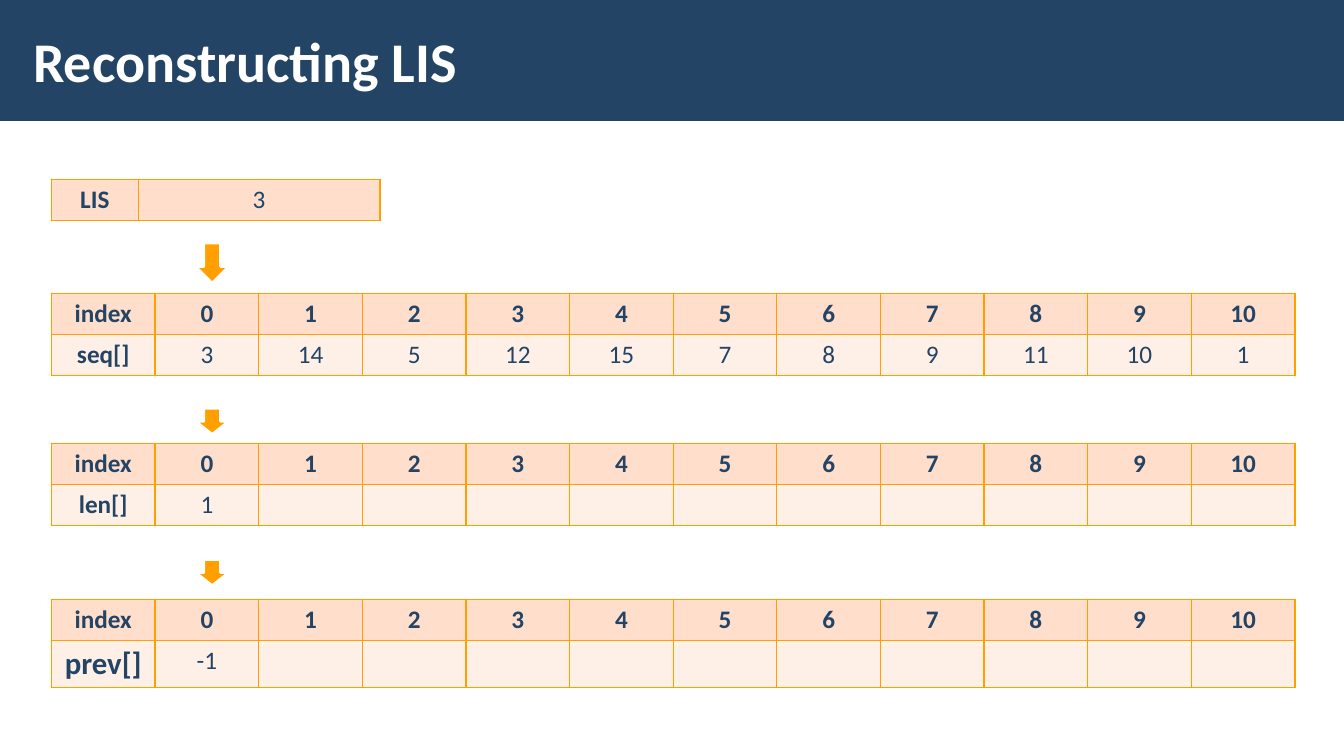
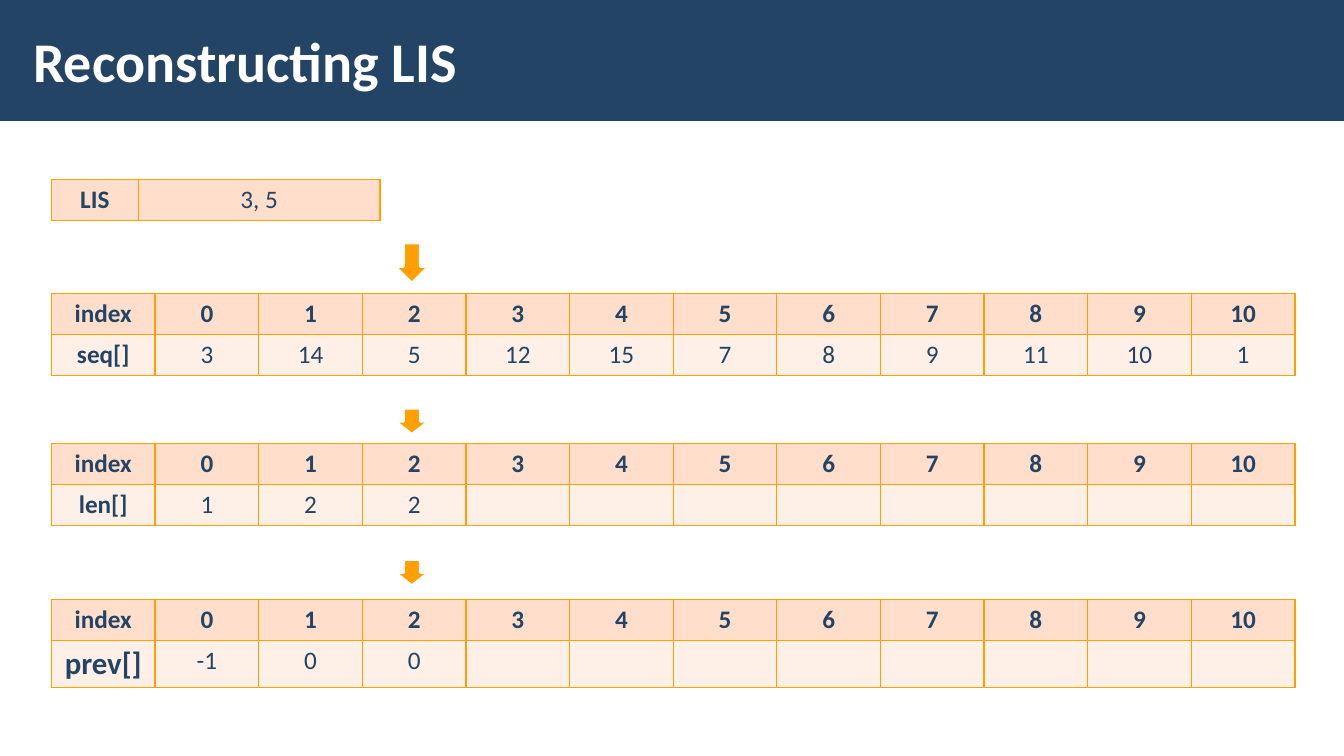
from dataclasses import dataclass

from lxml.etree import SubElement
from pptx import Presentation
from pptx.dml.color import RGBColor
from pptx.enum.shapes import MSO_SHAPE as Shape
from pptx.enum.text import MSO_ANCHOR as Anchor, PP_ALIGN as Align
from pptx.oxml import parse_xml
from pptx.oxml.ns import nsdecls, qn
from pptx.util import Inches, Pt

COLORS = {
    "navy": "234465",
    "white": "FFFFFF",
    "orange": "FFA000",
    "header": "FFDFCC",
    "body": "FFF0E7",
}
FONT = "Calibri"
SLIDE_WIDTH, SLIDE_HEIGHT = Inches(13.333), Inches(7.5)
LENGTH = 11
SEQUENCE = [3, 14, 5, 12, 15, 7, 8, 9, 11, 10, 1]
STEPS = [
    {"lis": "3", "len": [1], "prev": [-1]},
    {"lis": "3, 5", "len": [1, 2, 2], "prev": [-1, 0, 0]},
]


@dataclass
class Box:
    left: int
    top: int
    width: int
    height: int

    def region(self, left, top, width, height):
        """Take a box whose sides are percentages of this one."""
        return Box(
            self.left + round(self.width * left / 100),
            self.top + round(self.height * top / 100),
            round(self.width * width / 100),
            round(self.height * height / 100),
        )

    def sides(self):
        return self.left, self.top, self.width, self.height


PAGE = Box(0, 0, SLIDE_WIDTH, SLIDE_HEIGHT)
BAND = PAGE.region(0, 0, 100, 16)
RESULT = PAGE.region(3.83, 23.73, 24.45, 5.42)
ARRAYS = {
    "seq": PAGE.region(3.83, 38.8, 92.55, 10.84),
    "len": PAGE.region(3.83, 58.67, 92.55, 10.84),
    "prev": PAGE.region(3.83, 79.33, 92.55, 10.84),
}
POINTERS = [
    PAGE.region(14.55, 32.13, 2.48, 5.33),
    PAGE.region(14.55, 54, 2.48, 3.47),
    PAGE.region(14.55, 74, 2.48, 3.47),
]
POINTER_STEP = round(SLIDE_WIDTH * 7.43 / 100)


def color(name):
    return RGBColor.from_string(COLORS[name])


def paint(target, name):
    target.fill.solid()
    target.fill.fore_color.rgb = color(name)


def write(text_frame, text, size, name, bold, align):
    text_frame.text = text
    paragraph = text_frame.paragraphs[0]
    paragraph.alignment = align
    for run in paragraph.runs:
        run.font.name = FONT
        run.font.size = Pt(size)
        run.font.bold = bold
        run.font.color.rgb = color(name)


def add_borders(cell):
    properties = cell._tc.get_or_add_tcPr()
    for position, side in enumerate(("lnL", "lnR", "lnT", "lnB")):
        border = parse_xml(f'<a:{side} {nsdecls("a")} w="12700"/>')
        fill = SubElement(border, qn("a:solidFill"))
        SubElement(fill, qn("a:srgbClr"), val=COLORS["orange"])
        properties.insert(position, border)


def add_title_band(slide, box, title):
    band = slide.shapes.add_shape(Shape.RECTANGLE, *box.sides())
    band.shadow.inherit = False
    paint(band, "navy")
    band.line.fill.background()
    text_box = slide.shapes.add_textbox(*box.region(1.58, 9.17, 79.73, 80.83).sides())
    text_frame = text_box.text_frame
    text_frame.word_wrap = True
    text_frame.vertical_anchor = Anchor.MIDDLE
    text_frame.margin_left = text_frame.margin_right = Inches(0.12)
    text_frame.margin_top = text_frame.margin_bottom = Inches(0.04)
    write(text_frame, title, 40, "white", True, Align.LEFT)


def add_grid(slide, box, rows, shares, label_size=18):
    table = slide.shapes.add_table(len(rows), len(shares), *box.sides()).table
    table.horz_banding = False
    for column, share in zip(table.columns, shares):
        column.width = round(box.width * share / sum(shares))
    for row_index, values in enumerate(rows):
        table.rows[row_index].height = box.height // len(rows)
        for column_index, value in enumerate(values):
            cell = table.cell(row_index, column_index)
            is_label = column_index == 0
            is_index = row_index == 0 and len(rows) > 1
            size = label_size if is_label and row_index else 18
            write(cell.text_frame, str(value), size, "navy",
                  is_label or is_index, Align.CENTER)
            paint(cell, "body" if row_index else "header")
            add_borders(cell)


def add_array(slide, box, name, values):
    padding = [""] * (LENGTH - len(values))
    rows = [["index", *range(LENGTH)], [f"{name}[]", *values, *padding]]
    add_grid(slide, box, rows, [1] * (LENGTH + 1), 22 if name == "prev" else 18)


def add_pointer(slide, box, index):
    arrow = slide.shapes.add_shape(Shape.DOWN_ARROW, *box.sides())
    arrow.left = box.left + index * POINTER_STEP
    arrow.shadow.inherit = False
    paint(arrow, "orange")
    arrow.line.color.rgb = color("white")
    arrow.line.width = Pt(2)


def add_step_slide(presentation, step):
    slide = presentation.slides.add_slide(presentation.slide_layouts[6])
    add_title_band(slide, BAND, "Reconstructing LIS")
    for box in POINTERS:
        add_pointer(slide, box, len(step["len"]) - 1)
    arrays = {"seq": SEQUENCE, "len": step["len"], "prev": step["prev"]}
    for name, values in arrays.items():
        add_array(slide, ARRAYS[name], name, values)
    add_grid(slide, RESULT, [["LIS", step["lis"]]], [0.86, 2.4])


def main():
    presentation = Presentation()
    presentation.slide_width = SLIDE_WIDTH
    presentation.slide_height = SLIDE_HEIGHT
    for step in STEPS:
        add_step_slide(presentation, step)
    presentation.save("out.pptx")


if __name__ == "__main__":
    main()
